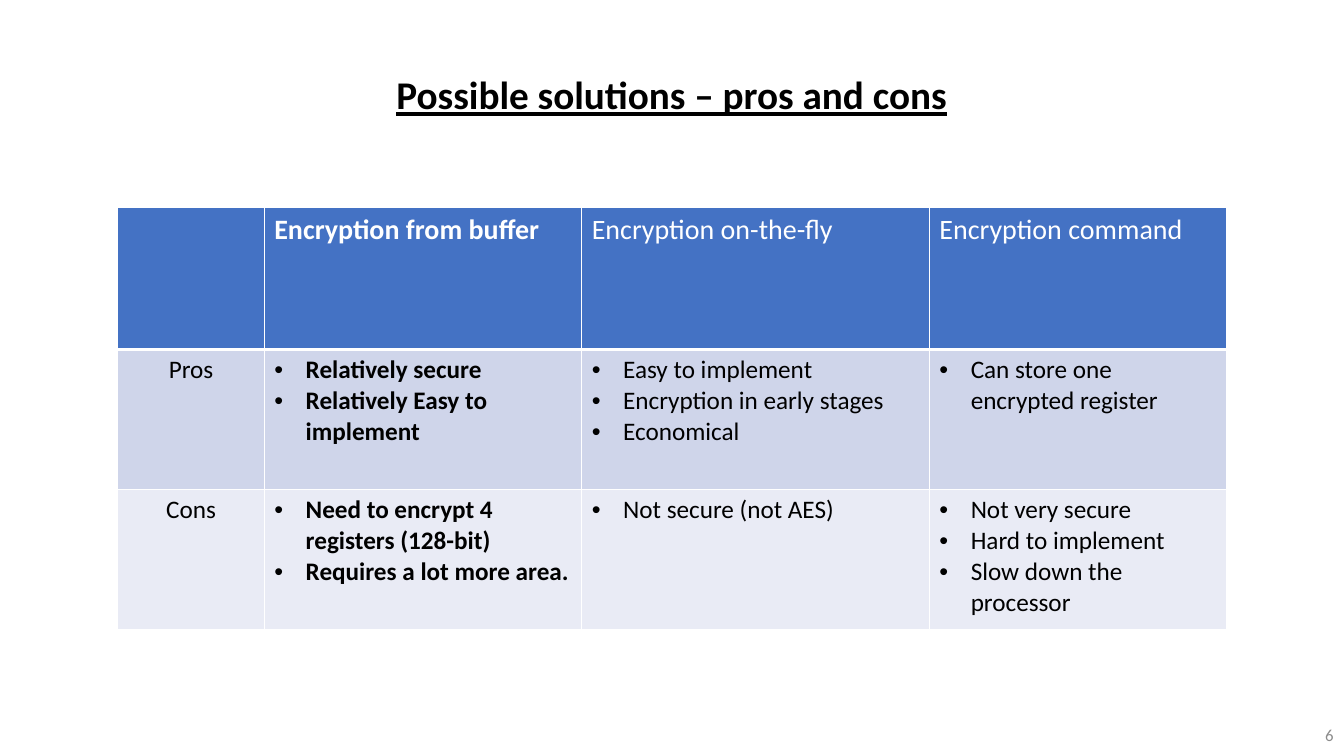
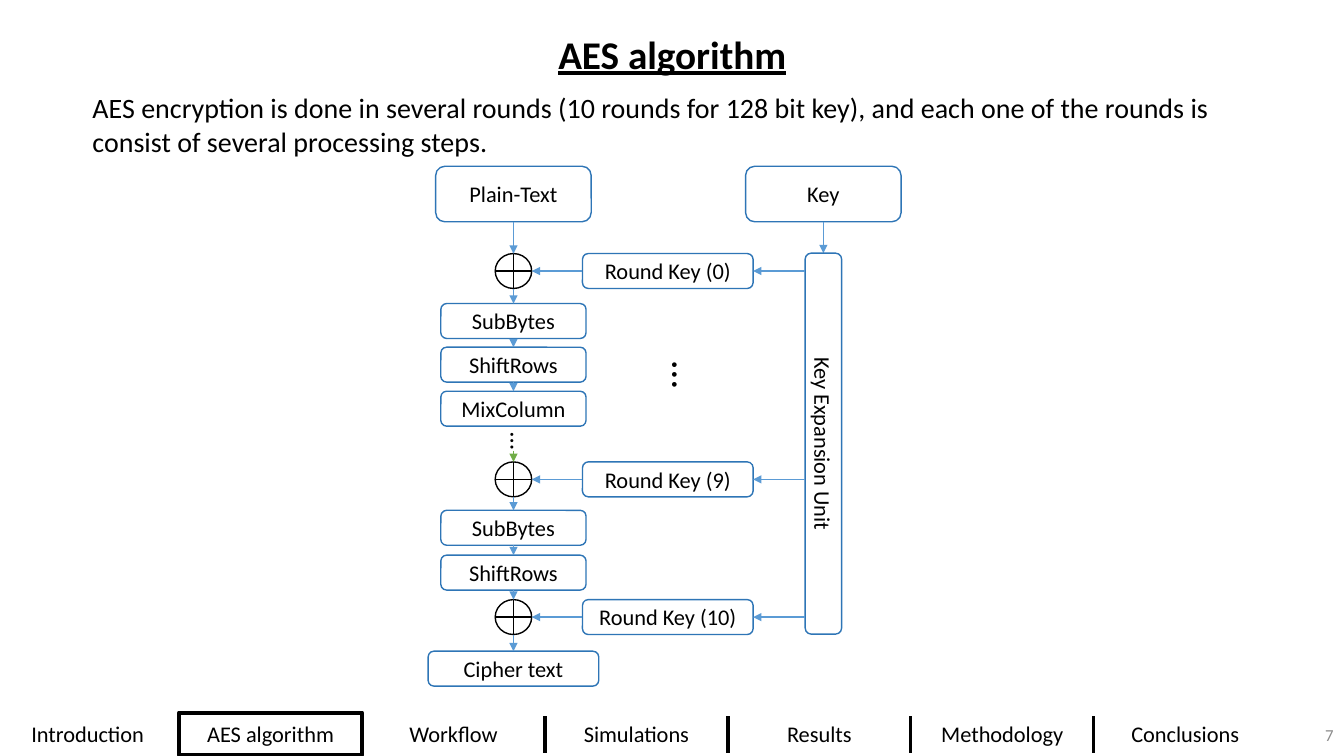
from pptx import Presentation
from pptx.util import Cm, Pt
from pptx.dml.color import RGBColor
from pptx.enum.shapes import MSO_SHAPE, MSO_CONNECTOR
from pptx.enum.text import PP_ALIGN, MSO_ANCHOR
from pptx.oxml.ns import qn
from lxml.etree import SubElement

FONT = "Calibri"
BLACK, WHITE, GREY = "000000", "FFFFFF", "8C8C8C"
EDGE, ARROW, GREEN = "2E75B6", "5B9BD5", "70AD47"
HEAD, BANDS = "4472C4", ["CFD5EA", "E9EBF5"]
MID, LEFT, RIGHT = PP_ALIGN.CENTER, PP_ALIGN.LEFT, PP_ALIGN.RIGHT

# Table content
HEADS = ["", "Encryption from buffer", "Encryption on-the-fly", "Encryption command"]
ROWS = [
    ("Pros",
     ["Relatively secure", "Relatively Easy to implement"],
     ["Easy to implement", "Encryption in early stages", "Economical"],
     ["Can store one encrypted register"]),
    ("Cons",
     ["Need to encrypt 4 registers (128-bit)", "Requires a lot more area."],
     ["Not secure (not AES)"],
     ["Not very secure", "Hard to implement", "Slow down the processor"]),
]
WIDTHS = [3.69, 8, 8.76, 7.49]
HEIGHTS = [3.58, 3.53, 3.53]
BOLD_COL = 1

# Diagram content: label, centre y, width, height; XOR marks a round-key addition
INTRO = ("AES encryption is done in several rounds (10 rounds for 128 bit key), "
         "and each one of the rounds is consist of several processing steps.")
XOR = None
STEP_W, KEY_W, STEP_H, NODE = 3.66, 4.3, 0.88, 0.92
SPINE_X, ROUND_X, UNIT_X = 12.94, 16.83, 20.75
TOP_Y, TOP_W, TOP_H = 4.89, 3.92, 1.4
UNIT_Y, UNIT_H = 11.18, 9.6
SPINE = [
    ("Plain-Text", TOP_Y, TOP_W, TOP_H),
    (XOR, 6.83, NODE, STEP_H),
    ("SubBytes", 8.09, STEP_W, STEP_H),
    ("ShiftRows", 9.19, STEP_W, STEP_H),
    ("MixColumn", 10.3, STEP_W, STEP_H),
    (XOR, 12.08, NODE, STEP_H),
    ("SubBytes", 13.3, STEP_W, STEP_H),
    ("ShiftRows", 14.43, STEP_W, STEP_H),
    (XOR, 15.55, NODE, STEP_H),
    ("Cipher text", 16.85, KEY_W, STEP_H),
]
KEYS = ["Round Key (0)", "Round Key (9)", "Round Key (10)"]
DOTS = [(17.33, 9.49, 1.45, 28), (13.12, 11.28, 1.02, 18)]

# Navigation bar
NAV = ["Introduction", "AES algorithm", "Workflow", "Simulations",
       "Results", "Methodology", "Conclusions"]
NAV_X, NAV_STEP, NAV_W = 2.21, 4.61, 4.5


def rgb(code):
    return RGBColor.from_string(code)


def style(para, size, color=BLACK, align=LEFT, bold=False):
    para.alignment = align
    font = para.font
    font.name, font.size, font.bold = FONT, Pt(size), bold
    font.color.rgb = rgb(color)


def place(shape, x, y, w, h):
    shape.left, shape.top, shape.width, shape.height = Cm(x), Cm(y), Cm(w), Cm(h)


def add_slide(deck, text, num, box):
    """Title-only slide with underlined title and page number."""
    slide = deck.slides.add_slide(deck.slide_layouts[5])
    title = slide.shapes.title
    place(title, *box)
    frame = title.text_frame
    frame.text, frame.vertical_anchor = text, MSO_ANCHOR.TOP
    style(frame.paragraphs[0], 28, align=MID, bold=True)
    frame.paragraphs[0].font.underline = True
    add_text(slide, str(num), 26.24, 18.01, 7.62, 1.02, 12, GREY, RIGHT, MSO_ANCHOR.MIDDLE)
    return slide


def add_text(slide, text, x, y, w, h, size, color=BLACK, align=LEFT,
             anchor=MSO_ANCHOR.TOP):
    box = slide.shapes.add_textbox(Cm(x), Cm(y), Cm(w), Cm(h))
    frame = box.text_frame
    frame.word_wrap, frame.vertical_anchor = True, anchor
    frame.text = text
    style(frame.paragraphs[0], size, color, align)
    return box


def add_node(slide, text, x, y, w, h):
    """Box, or XOR circle, centred on x, y."""
    kind = MSO_SHAPE.FLOWCHART_OR if text is XOR else MSO_SHAPE.ROUNDED_RECTANGLE
    node = slide.shapes.add_shape(kind, Cm(x - w / 2), Cm(y - h / 2), Cm(w), Cm(h))
    node.shadow.inherit = False
    node.fill.solid()
    node.fill.fore_color.rgb = rgb(WHITE)
    node.line.color.rgb = rgb(BLACK if text is XOR else EDGE)
    node.line.width = Pt(1)
    if text:
        frame = node.text_frame
        frame.text, frame.vertical_anchor = text, MSO_ANCHOR.MIDDLE
        style(frame.paragraphs[0], 16, align=MID)
    return node


def add_line(slide, x1, y1, x2, y2, color=ARROW, width=1, arrow=True):
    line = slide.shapes.add_connector(MSO_CONNECTOR.STRAIGHT, Cm(x1), Cm(y1), Cm(x2), Cm(y2))
    line.line.color.rgb = rgb(color)
    line.line.width = Pt(width)
    if arrow:
        SubElement(line.line._get_or_add_ln(), qn("a:tailEnd"), type="triangle")
    SubElement(line._element.spPr, qn("a:effectLst"))


def paint(cell, fill, top, base):
    """White borders, then the fill."""
    props = cell._tc.get_or_add_tcPr()
    for side, width in (("L", 1), ("R", 1), ("T", top), ("B", base)):
        edge = SubElement(props, qn("a:ln" + side), w=str(Pt(width)))
        solid = SubElement(edge, qn("a:solidFill"))
        SubElement(solid, qn("a:srgbClr"), val=WHITE)
    cell.fill.solid()
    cell.fill.fore_color.rgb = rgb(fill)


def add_bullet(para):
    props = para._p.get_or_add_pPr()
    props.set("marL", str(Cm(0.79)))
    props.set("indent", str(-Cm(0.79)))
    SubElement(props, qn("a:buFont"), typeface="Arial")
    SubElement(props, qn("a:buChar"), char="•")


def add_grid(slide):
    grid = slide.shapes.add_table(3, 4, Cm(2.97), Cm(5.23),
                                  Cm(sum(WIDTHS)), Cm(sum(HEIGHTS))).table
    for col, width in zip(grid.columns, WIDTHS):
        col.width = Cm(width)
    for row, height in zip(grid.rows, HEIGHTS):
        row.height = Cm(height)
    for c, text in enumerate(HEADS):
        cell = grid.cell(0, c)
        paint(cell, HEAD, 1, 3)
        cell.text = text
        style(cell.text_frame.paragraphs[0], 20, WHITE, bold=c == BOLD_COL)
    for r, (row, band) in enumerate(zip(ROWS, BANDS), 1):
        for c, item in enumerate(row):
            cell = grid.cell(r, c)
            paint(cell, band, 3 if r == 1 else 1, 1)
            cell.text = item if c == 0 else "\n".join(item)
            for para in cell.text_frame.paragraphs:
                style(para, 18, align=LEFT if c else MID, bold=c == BOLD_COL)
                if c:
                    add_bullet(para)


def add_flow(slide):
    # Key and its expansion unit
    add_node(slide, "Key", UNIT_X, TOP_Y, TOP_W, TOP_H)
    add_line(slide, UNIT_X, TOP_Y + TOP_H / 2, UNIT_X, UNIT_Y - UNIT_H / 2)
    add_node(slide, "Key Expansion Unit", UNIT_X, UNIT_Y, UNIT_H, NODE).rotation = 90
    # Spine of steps, joined by arrows
    for i, (text, y, w, h) in enumerate(SPINE):
        add_node(slide, text, SPINE_X, y, w, h)
        if i:
            prev, last_y, _, last_h = SPINE[i - 1]
            end = y - h / 2
            if prev == "MixColumn":
                add_line(slide, SPINE_X, end - 0.28, SPINE_X, end, GREEN, 0.5)
            else:
                add_line(slide, SPINE_X, last_y + last_h / 2, SPINE_X, end)
    # Round keys feed the XOR nodes
    levels = [y for text, y, _, _ in SPINE if text is XOR]
    for text, y in zip(KEYS, levels):
        add_node(slide, text, ROUND_X, y, KEY_W, STEP_H)
        add_line(slide, UNIT_X - NODE / 2, y, ROUND_X + KEY_W / 2, y)
        add_line(slide, ROUND_X - KEY_W / 2, y, SPINE_X + NODE / 2, y)
    # Ellipses for the rounds left out
    for x, y, h, size in DOTS:
        add_text(slide, "…", x - 0.62, y - h / 2, 1.24, h, size).rotation = 90


def add_nav(slide, active):
    for i, text in enumerate(NAV):
        x = NAV_X + i * NAV_STEP
        add_text(slide, text, x - NAV_W / 2, 18.02, NAV_W, 0.94, 16,
                 align=MID, anchor=MSO_ANCHOR.MIDDLE)
        edge = x - NAV_STEP / 2
        if i:
            add_line(slide, edge, 18.05, edge, 18.98, BLACK, 2.25, False)
        if text == active:
            mark = slide.shapes.add_shape(MSO_SHAPE.RECTANGLE, Cm(edge), Cm(17.96),
                                          Cm(NAV_STEP), Cm(1.07))
            mark.shadow.inherit = False
            mark.fill.background()
            mark.line.color.rgb = rgb(BLACK)
            mark.line.width = Pt(3)


def main():
    deck = Presentation()
    deck.slide_width, deck.slide_height = Cm(33.87), Cm(19.05)
    # Pros and cons
    slide = add_slide(deck, "Possible solutions – pros and cons", 6, (8.05, 1.65, 17.75, 1.45))
    add_grid(slide)
    # Algorithm
    slide = add_slide(deck, "AES algorithm", 7, (10.41, 0.63, 13.06, 1.45))
    add_text(slide, INTRO, 2.08, 2.16, 29.49, 1.96, 20)
    add_flow(slide)
    add_nav(slide, "AES algorithm")
    deck.save("out.pptx")


if __name__ == "__main__":
    main()
